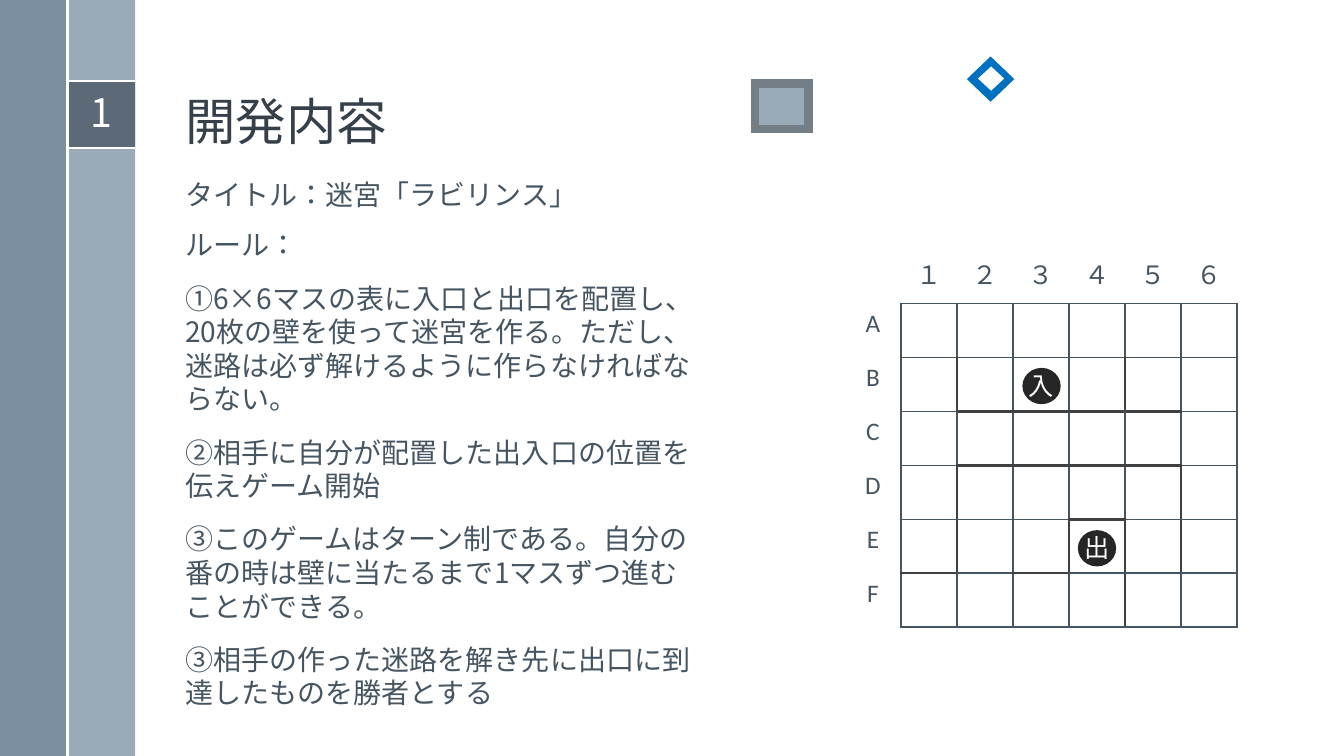
from dataclasses import dataclass

from lxml import etree
from pptx import Presentation
from pptx.dml.color import RGBColor
from pptx.enum.shapes import MSO_CONNECTOR, MSO_SHAPE
from pptx.enum.text import MSO_ANCHOR, PP_ALIGN
from pptx.oxml.ns import qn
from pptx.util import Emu, Pt

RECTANGLE, OVAL, DIAMOND = MSO_SHAPE.RECTANGLE, MSO_SHAPE.OVAL, MSO_SHAPE.DIAMOND
STRAIGHT = MSO_CONNECTOR.STRAIGHT
LEFT, CENTER = PP_ALIGN.LEFT, PP_ALIGN.CENTER
TOP, MIDDLE, BOTTOM = MSO_ANCHOR.TOP, MSO_ANCHOR.MIDDLE, MSO_ANCHOR.BOTTOM
EMU_PER_PX = 9144  # 100 px to the inch


@dataclass(frozen=True)
class Theme:
    font: str = "Noto Sans CJK JP"
    table_font: str = "Calibri"
    text: str = "465562"
    title: str = "35404A"
    white: str = "FFFFFF"
    outer_band: str = "6A8093"
    inner_band: str = "9BAAB7"
    number_box: str = "475562"
    frame: str = "737E87"
    accent: str = "0070C0"
    marker: str = "262626"
    wall: str = "404040"
    title_size: int = 36
    number_size: int = 28
    body_size: int = 20
    table_size: int = 18
    grid_width: float = 1
    wall_width: float = 2.25


THEME = Theme()


def px(value):
    return Emu(value * EMU_PER_PX)


def write_text(paragraph, text, *, size, color, font=THEME.font, align=LEFT, spacing=None,
               before=0):
    paragraph.alignment = align
    paragraph.space_before = Pt(before)
    if spacing:
        paragraph.line_spacing = spacing
    run = paragraph.add_run()
    run.text = text
    run.font.size = Pt(size)
    run.font.bold = False
    run.font.name = font
    run.font.color.rgb = RGBColor.from_string(color)
    properties = run.font._element
    properties.set("lang", "ja-JP")
    etree.SubElement(properties, qn("a:ea")).set("typeface", THEME.font)


class SlideBuilder:
    def __init__(self, slide, theme):
        self.slide = slide
        self.theme = theme

    def shape(self, kind, left, top, width, height, fill, alpha=None, line=None, line_width=0):
        shape = self.slide.shapes.add_shape(kind, px(left), px(top), px(width), px(height))
        shape.shadow.inherit = False
        shape.fill.solid()
        shape.fill.fore_color.rgb = RGBColor.from_string(fill)
        if alpha:
            color = shape._element.spPr.find(".//" + qn("a:srgbClr"))
            etree.SubElement(color, qn("a:alpha")).set("val", str(alpha * 1000))
        if line:
            shape.line.color.rgb = RGBColor.from_string(line)
            shape.line.width = Pt(line_width)
            outline = shape._element.spPr.find(qn("a:ln"))
            etree.SubElement(outline, qn("a:miter")).set("lim", "800000")
        else:
            shape.line.fill.background()

    def line(self, x1, y1, x2, y2, color, width=1.5):
        connector = self.slide.shapes.add_connector(STRAIGHT, px(x1), px(y1), px(x2), px(y2))
        connector.line.color.rgb = RGBColor.from_string(color)
        connector.line.width = Pt(width)
        etree.SubElement(connector._element.spPr, qn("a:effectLst"))

    def text_box(self, left, top, width, height, paragraphs, anchor=TOP, **text_format):
        box = self.slide.shapes.add_textbox(px(left), px(top), px(width), px(height))
        frame = box.text_frame
        frame.word_wrap = True
        frame.vertical_anchor = anchor
        for index, (text, spacing) in enumerate(paragraphs):
            paragraph = frame.add_paragraph() if index else frame.paragraphs[0]
            write_text(paragraph, text, spacing=spacing, **text_format)

    def cell_borders(self, cell, borders):
        properties = cell._tc.get_or_add_tcPr()
        for index, side in enumerate("LRTB"):
            line = etree.Element(qn("a:ln" + side))
            if side in borders:
                color, width = borders[side]
                line.set("w", str(Pt(width)))
                fill = etree.SubElement(line, qn("a:solidFill"))
                etree.SubElement(fill, qn("a:srgbClr")).set("val", color)
            else:
                etree.SubElement(line, qn("a:noFill"))
            properties.insert(index, line)

    def maze(self, left, top, width, height, columns, rows, walls_right, walls_below, markers):
        theme = self.theme
        size = len(rows) + 1
        table = self.slide.shapes.add_table(
            size, size, px(left), px(top), px(width), px(height)).table
        table.first_row = table.horz_banding = False
        grid_line = (theme.text, theme.grid_width)
        wall_line = (theme.wall, theme.wall_width)

        def edge(name, walls):
            return wall_line if name in walls else grid_line

        labels = " " + rows
        for row in range(size):
            for column in range(size):
                cell = table.cell(row, column)
                cell.fill.background()
                name = f"{labels[row]}{column}"
                above, before = f"{labels[row - 1]}{column}", f"{labels[row]}{column - 1}"
                text, color, borders = "", theme.text, {}
                if row and column:
                    text, color = markers.get(name, ""), theme.white
                    cell.vertical_anchor = MIDDLE
                    borders = {"L": edge(before, walls_right), "R": edge(name, walls_right),
                               "T": edge(above, walls_below), "B": edge(name, walls_below)}
                elif row:
                    text, borders = labels[row], {"R": grid_line}
                elif column:
                    text, borders = columns[column - 1], {"B": grid_line}
                if text:
                    write_text(cell.text_frame.paragraphs[0], text, size=theme.table_size,
                               color=color, font=theme.table_font, align=CENTER)
                self.cell_borders(cell, borders)


def main():
    presentation = Presentation()
    presentation.slide_width, presentation.slide_height = px(1333), px(750)
    theme = THEME
    builder = SlideBuilder(presentation.slides.add_slide(presentation.slide_layouts[6]), theme)

    # Side bands with the page number
    builder.shape(RECTANGLE, 67, 0, 67, 750, theme.inner_band)
    builder.shape(RECTANGLE, 0, 0, 67, 750, theme.outer_band, alpha=88)
    builder.shape(RECTANGLE, 67, 81, 67, 66, theme.number_box, alpha=75)
    for y in (80, 147):
        builder.line(67, y, 134, y, theme.white)
    builder.line(67, 0, 67, 750, theme.white)
    builder.text_box(57, 87, 87, 53, [("1", 0.9)], anchor=MIDDLE, align=CENTER,
                     size=theme.number_size, color=theme.white)

    # Maze with its entrance and exit
    for left, top in ((1014, 365), (1069, 526)):
        builder.shape(OVAL, left, top, 38, 36, theme.marker)
    builder.maze(838, 248, 389, 374, columns="１２３４５６", rows="ABCDEF",
                 walls_right="B1 B4 D1 D5 E1 E3 E4 E5 F4".split(),
                 walls_below="B2 B3 B4 B5 C2 C3 C4 C5 D4 E1 E3".split(),
                 markers={"B3": "入", "E4": "出"})

    # Title and rules
    builder.text_box(174, 19, 1070, 136, [("開発内容", 0.9)], anchor=BOTTOM,
                     size=theme.title_size, color=theme.title)
    heading, rule = 0.9, 1.0
    builder.text_box(174, 175, 527, 500, [
        ("タイトル：迷宮「ラビリンス」", heading),
        ("ルール：", heading),
        ("①6×6マスの表に入口と出口を配置し、20枚の壁を使って迷宮を作る。"
         "ただし、迷路は必ず解けるように作らなければならない。", rule),
        ("②相手に自分が配置した出入口の位置を伝えゲーム開始", rule),
        ("③このゲームはターン制である。自分の番の時は壁に当たるまで1マスずつ進むことができる。", rule),
        ("③相手の作った迷路を解き先に出口に到達したものを勝者とする", rule),
    ], size=theme.body_size, color=theme.text, before=14)

    # Game pieces
    builder.shape(RECTANGLE, 749, 83, 53, 45, theme.inner_band, line=theme.frame, line_width=6)
    builder.shape(DIAMOND, 959, 56, 47, 45, theme.accent)
    builder.shape(DIAMOND, 970, 66, 26, 24, theme.white)

    presentation.save("out.pptx")


if __name__ == "__main__":
    main()
